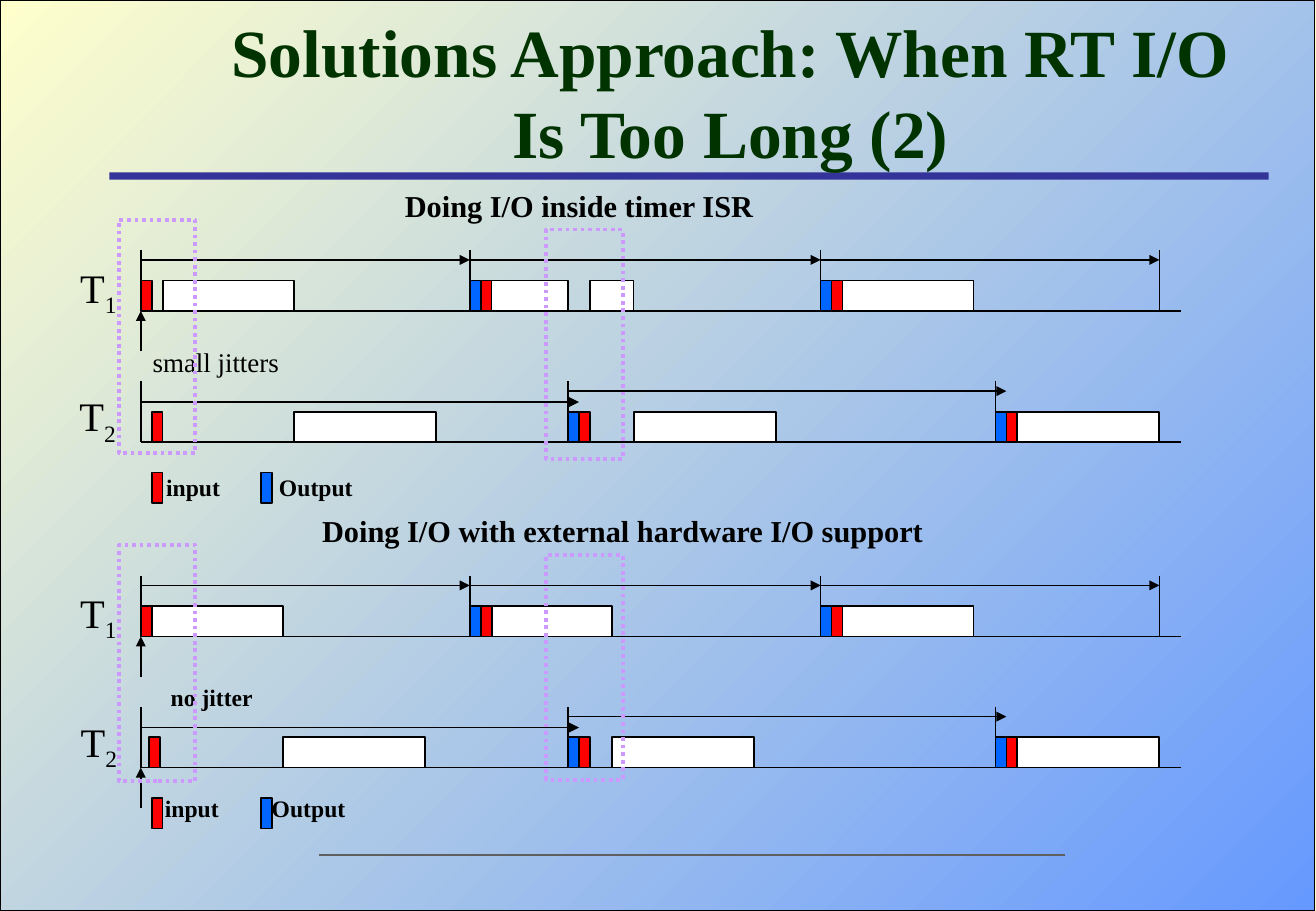
"""Builds a slide that compares two ways of doing real-time I/O on task timelines."""
import pptx
import pptx.util
import pptx.dml.color
import pptx.enum.dml
import pptx.enum.shapes
import pptx.enum.text
import pptx.oxml
import pptx.oxml.ns

Inches = pptx.util.Inches
Pt = pptx.util.Pt
RGBColor = pptx.dml.color.RGBColor
ALIGN = pptx.enum.text.PP_ALIGN
ANCHOR = pptx.enum.text.MSO_ANCHOR

BLACK = RGBColor(0x00, 0x00, 0x00)
WHITE = RGBColor(0xFF, 0xFF, 0xFF)
INPUT_RED = RGBColor(0xFF, 0x00, 0x00)
OUTPUT_BLUE = RGBColor(0x00, 0x66, 0xFF)
WINDOW_VIOLET = RGBColor(0xCC, 0x99, 0xFF)
TITLE_GREEN = RGBColor(0x00, 0x33, 0x00)
RULE_BLUE = RGBColor(0x33, 0x33, 0x99)
FOOT_GREY = RGBColor(0x5F, 0x5F, 0x5F)
SKY = RGBColor(0x66, 0x99, 0xFF)
CREAM = RGBColor(0xFF, 0xFF, 0xCC)

FONT = "Times New Roman"
START, AXIS_END = 1.16, 9.73
IO_W, JOB_H, TICK_H = 0.09, 0.25, 0.5
T1_TICKS = [START, 3.87, 6.76, 9.55]
T2_TICKS = [START, 4.68, 8.2]
T1_SPANS = [(a, b, 0.42) for a, b in zip(T1_TICKS, T1_TICKS[1:])]
T2_SPANS = [(a, b + IO_W, rise)
            for a, b, rise in zip(T2_TICKS, T2_TICKS[1:], (0.33, 0.42))]


def add_rect(slide, x, y, w, h, fill=None, line=BLACK, width=1):
    sp = slide.shapes.add_shape(pptx.enum.shapes.MSO_SHAPE.RECTANGLE,
                                Inches(x), Inches(y), Inches(w), Inches(h))
    sp.shadow.inherit = False
    if fill is None:
        sp.fill.background()
    else:
        sp.fill.solid()
        sp.fill.fore_color.rgb = fill
    if line is None:
        sp.line.fill.background()
    else:
        sp.line.color.rgb = line
        sp.line.width = Pt(width)
    return sp


def add_line(slide, x1, y1, x2, y2, arrow=False, color=BLACK, width=1):
    cxn = slide.shapes.add_connector(pptx.enum.shapes.MSO_CONNECTOR.STRAIGHT,
                                     Inches(x1), Inches(y1), Inches(x2), Inches(y2))
    cxn.line.color.rgb = color
    cxn.line.width = Pt(width)
    if arrow:
        ln = cxn.line._get_or_add_ln()
        tail = pptx.oxml.parse_xml(
            '<a:tailEnd %s type="triangle"/>' % pptx.oxml.ns.nsdecls("a"))
        ln.append(tail)
    cxn._element.spPr.append(
        pptx.oxml.parse_xml("<a:effectLst %s/>" % pptx.oxml.ns.nsdecls("a")))


def format_run(r, size, bold=False, color=BLACK):
    r.font.name = FONT
    r.font.size = Pt(size)
    r.font.bold = bold
    r.font.color.rgb = color


def add_text(slide, text, x, y, w, h, size, bold=False, align=ALIGN.CENTER,
             anchor=ANCHOR.TOP, wrap=True):
    tf = slide.shapes.add_textbox(Inches(x), Inches(y), Inches(w), Inches(h)).text_frame
    tf.word_wrap = wrap
    tf.vertical_anchor = anchor
    tf.text = text
    p = tf.paragraphs[0]
    p.alignment = align
    format_run(p.runs[0], size, bold)
    return p


def add_task_label(slide, number, x, y, w, wrap):
    p = add_text(slide, "T", x, y, w, 0.56, 24, anchor=ANCHOR.MIDDLE, wrap=wrap)
    r = p.add_run()
    r.text = number
    format_run(r, 24)
    r.font._element.set("baseline", "-25000")


def add_timeline(slide, base, ticks, spans, jobs, first_input, outputs):
    add_line(slide, START, base, AXIS_END, base)
    for x in ticks:
        add_line(slide, x, base, x, base - TICK_H)
    for x1, x2, rise in spans:
        add_line(slide, x1, base - rise, x2, base - rise, arrow=True)
    inputs = [first_input] + [x + IO_W for x in outputs]
    blocks = [(x, w, WHITE) for x, w in jobs]
    blocks += [(x, IO_W, INPUT_RED) for x in inputs]
    blocks += [(x, IO_W, OUTPUT_BLUE) for x in outputs]
    for x, w, fill in blocks:
        add_rect(slide, x, base - JOB_H, w, JOB_H, fill)


def add_release_arrow(slide, base):
    add_line(slide, START, base + 0.33, START, base, arrow=True)


def add_legend(slide, y, text_y, input_x, output_x):
    for key_x, x, text, fill in ((1.25, input_x, "input", INPUT_RED),
                                 (2.15, output_x, "Output", OUTPUT_BLUE)):
        add_rect(slide, key_x, y, IO_W, JOB_H, fill)
        add_text(slide, text, x, text_y, 0.9, 0.34, 14, True, ALIGN.LEFT)


def add_scheme(slide, base, t1_jobs, t2_jobs, t2_first_input, t2_label_x):
    t2_base = base + 1.08
    add_timeline(slide, base, T1_TICKS, T1_SPANS, t1_jobs, START, T1_TICKS[1:3])
    add_timeline(slide, t2_base, T2_TICKS, T2_SPANS, t2_jobs, t2_first_input,
                 T2_TICKS[1:])
    add_release_arrow(slide, base)
    add_task_label(slide, "1", 0.56, base - 0.45, 0.5, False)
    add_task_label(slide, "2", t2_label_x, t2_base - 0.47, 0.87, True)


def add_windows(slide, windows):
    for x, y, h in windows:
        sp = add_rect(slide, x, y, 0.63, h, line=WINDOW_VIOLET, width=2.25)
        sp.line.dash_style = pptx.enum.dml.MSO_LINE.ROUND_DOT


def add_backdrop(slide):
    sp = add_rect(slide, 0, 0, 10.83, 7.5, WHITE, width=0.75)
    sp.fill.gradient()
    sp.fill.gradient_angle = 135
    for stop, color in zip(sp.fill.gradient_stops, (SKY, CREAM)):
        stop.color.rgb = color
    add_rect(slide, 0.9, 1.42, 9.55, 0.06, RULE_BLUE, None)
    add_line(slide, 2.63, 7.04, 8.77, 7.04, color=FOOT_GREY, width=1.5)


def set_title(slide, text):
    sp = slide.shapes.title
    sp.left, sp.top, sp.width, sp.height = (Inches(v) for v in (1.56, 0.21, 8.91, 1.08))
    tf = sp.text_frame
    tf.text = text
    tf.word_wrap = True
    tf.auto_size = pptx.enum.text.MSO_AUTO_SIZE.NONE
    tf.vertical_anchor = ANCHOR.MIDDLE
    p = tf.paragraphs[0]
    p.alignment = ALIGN.CENTER
    format_run(p.runs[0], 40, True, TITLE_GREEN)
    sp._element.getparent().append(sp._element)


def main():
    prs = pptx.Presentation()
    prs.slide_width, prs.slide_height = Inches(10.84), Inches(7.5)
    slide = prs.slides.add_slide(prs.slide_layouts[5])
    slide.background.fill.solid()
    slide.background.fill.fore_color.rgb = CREAM
    add_backdrop(slide)

    add_text(slide, "Doing I/O inside timer ISR", 2.06, 1.49, 5.42, 0.4, 18, True)
    add_scheme(slide, 2.56, [(1.34, 1.08), (4.05, 0.63), (4.86, 0.36), (6.94, 1.08)],
               [(2.42, 1.17), (5.22, 1.17), (8.38, 1.17)], 1.25, 0.37)
    add_text(slide, "small jitters", START, 2.79, 4.24, 0.37, 16,
             align=ALIGN.LEFT, anchor=ANCHOR.MIDDLE)
    add_legend(slide, 3.89, 3.84, 1.27, 2.2)

    add_text(slide, "Doing I/O with external hardware I/O support",
             2.06, 4.17, 6.14, 0.4, 18, True)
    add_scheme(slide, 5.24, [(1.25, 1.08), (4.05, 0.99), (6.94, 1.08)],
               [(2.33, 1.17), (5.04, 1.17), (8.38, 1.17)], 1.23, 0.38)
    add_release_arrow(slide, 6.32)
    add_text(slide, "no jitter", 0.98, 5.57, 1.53, 0.34, 14, True)
    add_legend(slide, 6.57, 6.49, 1.26, 2.14)

    add_windows(slide, [(0.98, 1.81, 1.92), (4.5, 1.89, 1.89),
                        (0.98, 4.49, 1.94), (4.5, 4.57, 1.85)])
    set_title(slide, "Solutions Approach: When RT I/O Is Too Long (2)")
    prs.save("out.pptx")


if __name__ == "__main__":
    main()
